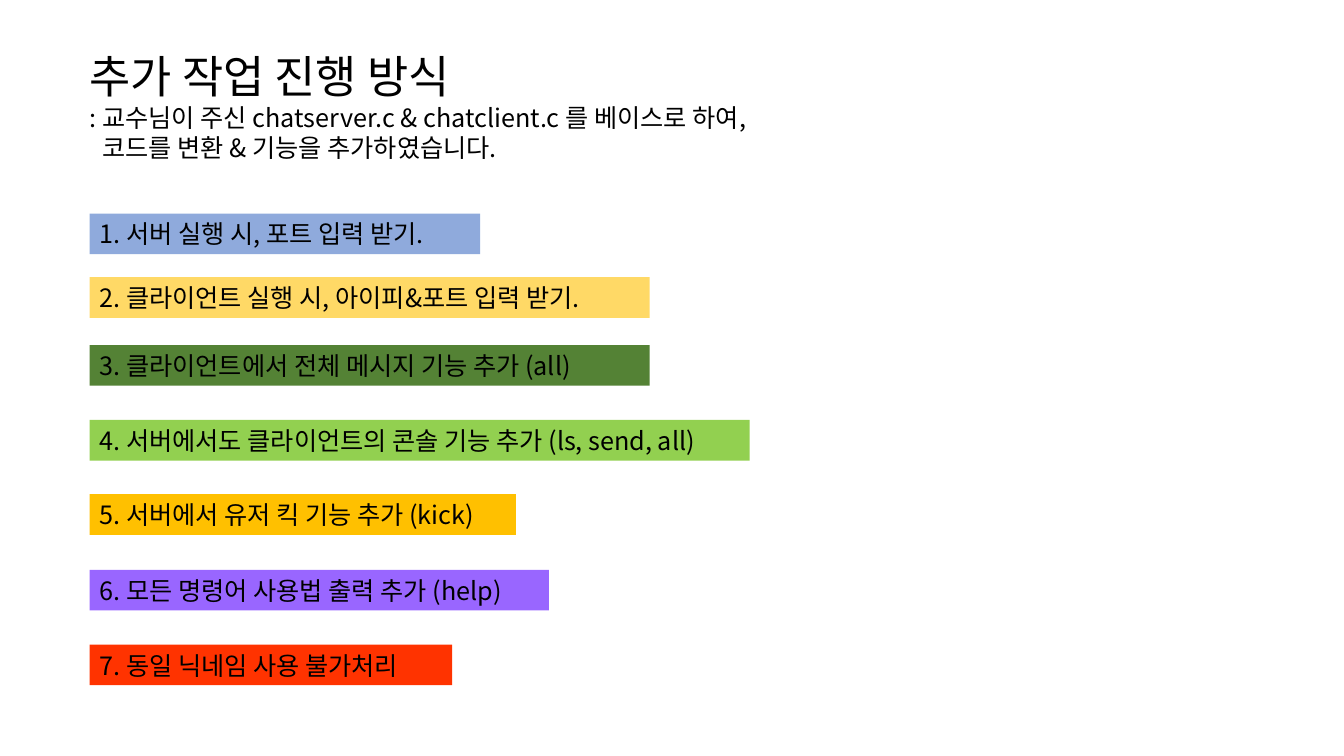
from lxml import etree
from pptx import Presentation
from pptx.dml.color import RGBColor
from pptx.enum.shapes import MSO_SHAPE
from pptx.enum.text import MSO_ANCHOR, PP_ALIGN
from pptx.oxml.ns import qn
from pptx.util import Pt

RECTANGLE = MSO_SHAPE.RECTANGLE
MIDDLE, TOP = MSO_ANCHOR.MIDDLE, MSO_ANCHOR.TOP
LEFT = PP_ALIGN.LEFT
FONT = "Noto Sans CJK KR"
COLOURS = {
    "text": "000000", "blue": "8FAADC", "yellow": "FFD966", "forest": "548235",
    "green": "92D050", "amber": "FFC000", "violet": "9966FF", "red": "FF3300",
}
HEADING = [
    ("추가 작업 진행 방식", 32, 0),
    (": 교수님이 주신 chatserver.c & chatclient.c 를 베이스로 하여,", 18, 0),
    ("코드를 변환 & 기능을 추가하였습니다.", 18, 9),
]
TASKS = [
    ("1. 서버 실행 시, 포트 입력 받기.", "blue", 152.5, 279),
    ("2. 클라이언트 실행 시, 아이피&포트 입력 받기.", "yellow", 198, 400),
    ("3. 클라이언트에서 전체 메시지 기능 추가 (all)", "forest", 246.5, 400),
    ("4. 서버에서도 클라이언트의 콘솔 기능 추가 (ls, send, all)", "green", 300, 471.5),
    ("5. 서버에서 유저 킥 기능 추가 (kick)", "amber", 353, 304.5),
    ("6. 모든 명령어 사용법 출력 추가 (help)", "violet", 407, 328),
    ("7. 동일 닉네임 사용 불가처리", "red", 460.5, 259),
]


def write_lines(frame, lines, anchor):
    """Fill a text frame with (text, size, indent) lines."""
    frame.word_wrap = True
    frame.vertical_anchor = anchor
    for index, (text, size, indent) in enumerate(lines):
        para = frame.add_paragraph() if index else frame.paragraphs[0]
        para.alignment = LEFT
        if indent:
            para._p.get_or_add_pPr().set("marL", str(Pt(indent)))
        span = para.add_run()
        span.text = text
        for name, value in {"name": FONT, "size": Pt(size)}.items():
            setattr(span.font, name, value)
        span.font.color.rgb = RGBColor.from_string(COLOURS["text"])
        east_asian = etree.SubElement(span._r.get_or_add_rPr(), qn("a:ea"))
        east_asian.set("typeface", FONT)


def add_heading(page, left, top, width, height):
    """Place the title and its two-line explanation."""
    box = page.shapes.add_textbox(Pt(left), Pt(top), Pt(width), Pt(height))
    write_lines(box.text_frame, HEADING, TOP)


def add_task(page, left, top, width, height, text, colour):
    """Place one coloured task bar."""
    bar = page.shapes.add_shape(RECTANGLE, Pt(left), Pt(top), Pt(width), Pt(height))
    bar.shadow.inherit = False
    bar.fill.solid()
    bar.fill.fore_color.rgb = RGBColor.from_string(COLOURS[colour])
    bar.line.fill.background()
    write_lines(bar.text_frame, [(text, 18, 0)], MIDDLE)


def main():
    """Build and save the deck."""
    deck = Presentation()
    deck.slide_width, deck.slide_height = Pt(960), Pt(540)
    page = deck.slides.add_slide(deck.slide_layouts[6])
    add_heading(page, 57, 31, 544, 90)
    for text, colour, top, width in TASKS:
        add_task(page, 64, top, width, 29, text, colour)
    deck.save("out.pptx")


if __name__ == "__main__":
    main()
